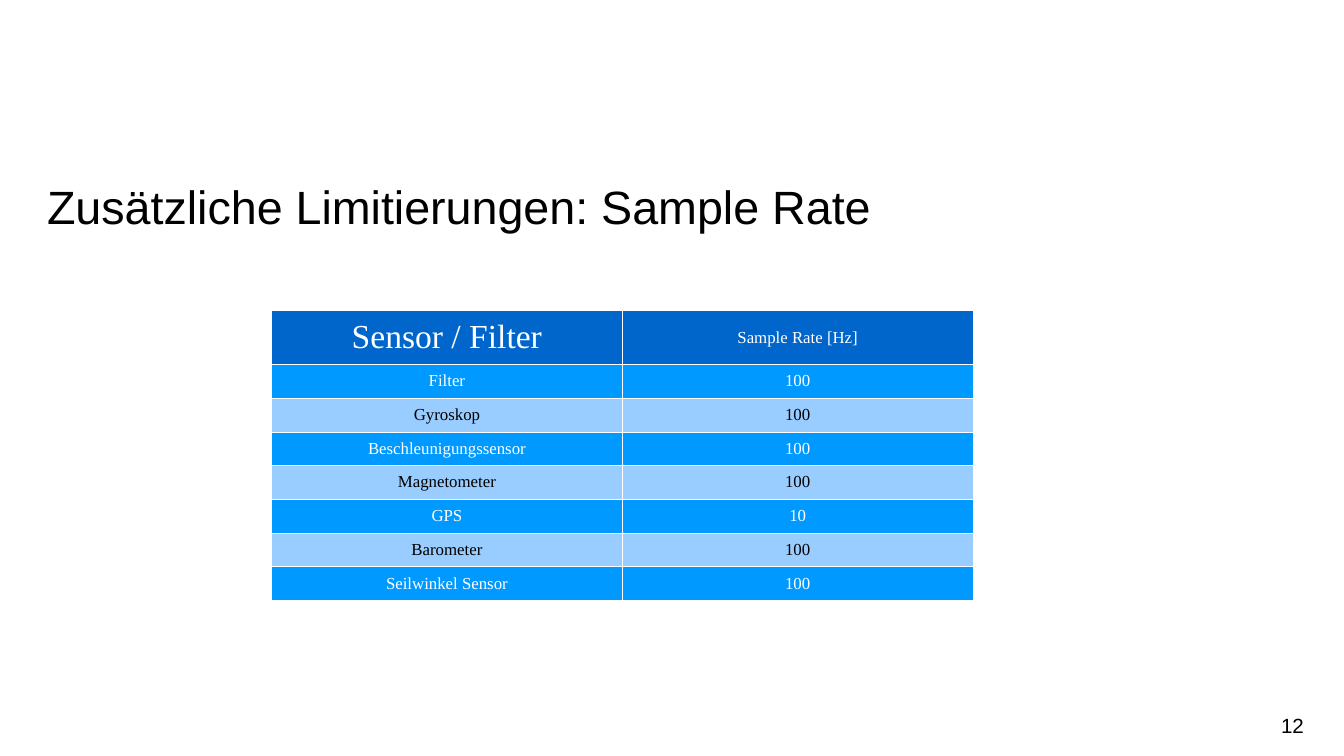
"""Build the slide on sample rate limits of the sensors and the filter."""
from lxml.etree import SubElement
from pptx import Presentation
from pptx.dml.color import RGBColor
from pptx.enum.text import MSO_ANCHOR, PP_ALIGN
from pptx.oxml.ns import qn
from pptx.util import Inches, Pt

BLACK = RGBColor(0x00, 0x00, 0x00)
WHITE = RGBColor(0xFF, 0xFF, 0xFF)
HEADER_BLUE = RGBColor(0x00, 0x66, 0xCC)
BAND_BLUE = RGBColor(0x00, 0x99, 0xFF)
BAND_LIGHT = RGBColor(0x99, 0xCC, 0xFF)


def write(frame, text, align, name, size, color):
    paragraph = frame.paragraphs[0]
    paragraph.alignment = align
    run = paragraph.add_run()
    run.text = text
    for attribute, value in {"name": name, "size": Pt(size)}.items():
        setattr(run.font, attribute, value)
    run.font.color.rgb = color


def add_borders(cell):
    for side in ("a:lnL", "a:lnR", "a:lnT", "a:lnB"):
        border = SubElement(cell._tc.get_or_add_tcPr(), qn(side), w=str(Pt(0.06)))
        fill = SubElement(border, qn("a:solidFill"))
        SubElement(fill, qn("a:srgbClr"), val=str(WHITE))


presentation = Presentation()
presentation.slide_width = Inches(10)
presentation.slide_height = Inches(10) * 9 // 16
slide = presentation.slides.add_slide(presentation.slide_layouts[6])

page_number = slide.shapes.add_textbox(
    Inches(5.81), Inches(5.26), Inches(3.99), Inches(0.37)).text_frame
page_number.word_wrap = True
write(page_number, "12", PP_ALIGN.RIGHT, "Arial", 11, BLACK)

title = slide.shapes.add_textbox(
    Inches(0.35), Inches(1.06), Inches(9.31), Inches(0.94)).text_frame
title_format = {
    "word_wrap": True, "vertical_anchor": MSO_ANCHOR.MIDDLE,
    "margin_left": 0, "margin_right": 0, "margin_top": 0, "margin_bottom": 0,
}
for attribute, value in title_format.items():
    setattr(title, attribute, value)
write(title, "Zusätzliche Limitierungen: Sample Rate", PP_ALIGN.LEFT, "Arial", 25, BLACK)

sample_rates = [
    ("Sensor / Filter", "Sample Rate [Hz]"),
    ("Filter", "100"),
    ("Gyroskop", "100"),
    ("Beschleunigungssensor", "100"),
    ("Magnetometer", "100"),
    ("GPS", "10"),
    ("Barometer", "100"),
    ("Seilwinkel Sensor", "100"),
]
row_height = Inches(0.24)
rate_table = slide.shapes.add_table(
    len(sample_rates), 2, Inches(2.02), Inches(2.31),
    Inches(5.23), row_height * len(sample_rates)).table
for table_column in rate_table.columns:
    table_column.width = Inches(2.61)
cell_format = {
    "vertical_anchor": MSO_ANCHOR.MIDDLE,
    "margin_left": Inches(0.1), "margin_right": Inches(0.1),
    "margin_top": Inches(0.05), "margin_bottom": Inches(0.05),
}
for row, entries in enumerate(sample_rates):
    rate_table.rows[row].height = row_height
    if row == 0:
        background, color = HEADER_BLUE, WHITE
    elif row % 2:
        background, color = BAND_BLUE, WHITE
    else:
        background, color = BAND_LIGHT, BLACK
    for column, entry in enumerate(entries):
        cell = rate_table.cell(row, column)
        for attribute, value in cell_format.items():
            setattr(cell, attribute, value)
        add_borders(cell)
        cell.fill.solid()
        cell.fill.fore_color.rgb = background
        size = 18 if row == column == 0 else 9
        write(cell.text_frame, entry, PP_ALIGN.CENTER, "Times New Roman", size, color)

presentation.save("out.pptx")
